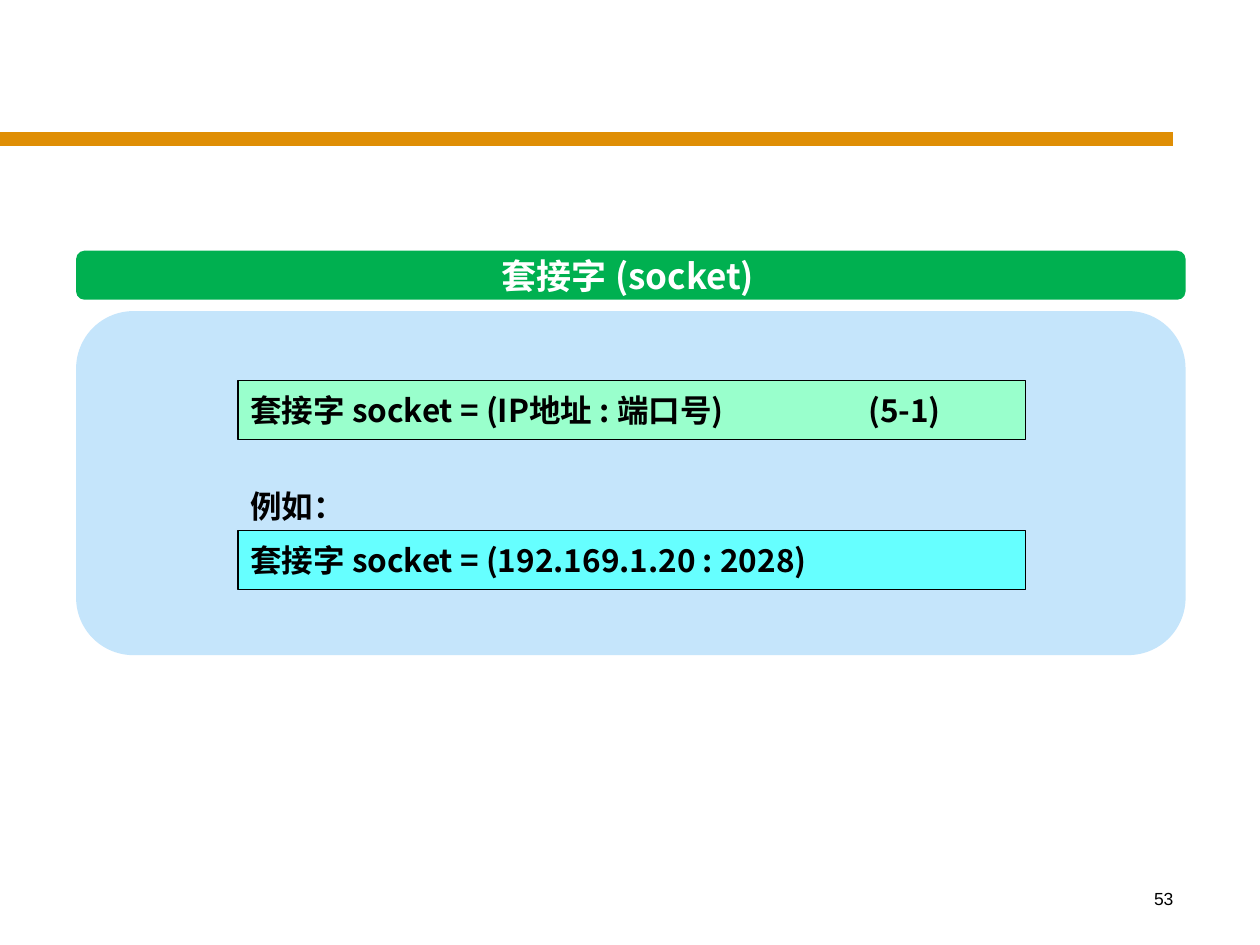
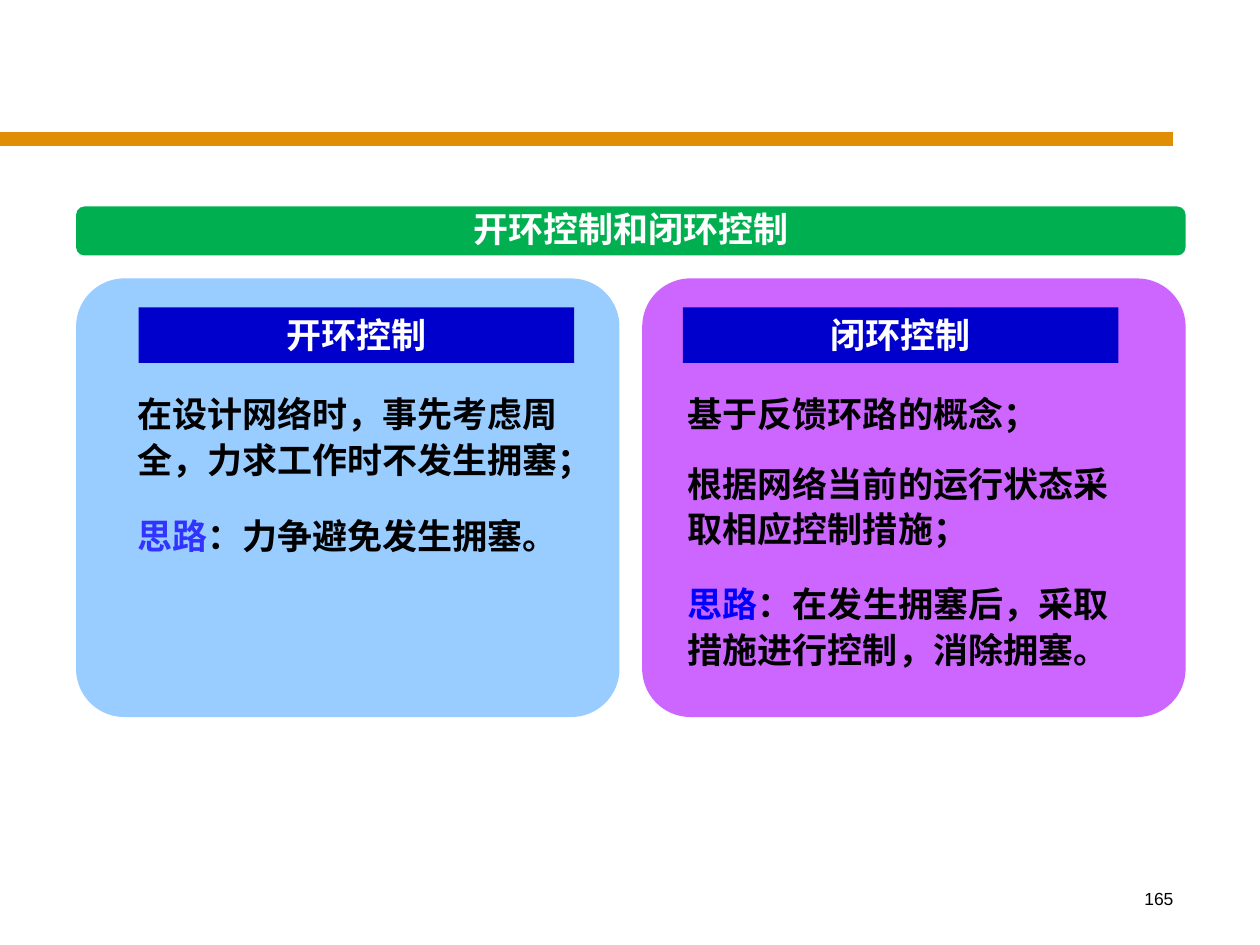
from lxml.etree import SubElement
from pptx import Presentation
from pptx.dml.color import RGBColor
from pptx.enum.shapes import MSO_CONNECTOR, MSO_SHAPE
from pptx.enum.text import MSO_ANCHOR, MSO_AUTO_SIZE, PP_ALIGN
from pptx.oxml.ns import qn
from pptx.util import Pt

CJK, LATIN = "Noto Sans CJK SC", "Arial"
BLACK, WHITE, ORANGE, GREEN, NAVY = "000000", "FFFFFF", "DF8E05", "00B050", "0000CC"
MARGIN, CONTENT_WIDTH = 43.5, 634
BAND_HEIGHT, HEADING_HEIGHT = 28, 31.7
LINE_HEIGHT, INSETS = 26, 7.2

SOCKET = {
    "number": "53",
    "heading": ("套接字 (socket)", 278.6, 141.8, 160.6),
    "band_top": 143.3,
    "panel": (177.8, 196.6, "C5E5FB"),
    "formulas": [
        ("套接字 socket = (IP地址 : 端口号)\t(5-1)", 217.4, "99FFCC"),
        ("套接字 socket = (192.169.1.20 : 2028)", 303.1, "66FFFF"),
    ],
    "example": ("例如：", 272.2),
}
CONTROL = {
    "number": "165",
    "heading": ("开环控制和闭环控制", 263.5, 115.2, 194.4),
    "band_top": 118,
    "columns": [
        {
            "fill": "99CCFF", "label": "开环控制", "label_left": 79.2, "text_left": 71.3,
            "notes": [
                (218.9, 2, [("在设计网络时，事先考虑周全，力求工作时不发生拥塞；", BLACK)]),
                (288.7, 1, [("思路", "3333FF"), ("：力争避免发生拥塞。", BLACK)]),
            ],
        },
        {
            "fill": "CC66FF", "label": "闭环控制", "label_left": 390.2, "text_left": 385.9,
            "notes": [
                (218.9, 1, [("基于反馈环路的概念；", BLACK)]),
                (258.5, 2, [("根据网络当前的运行状态采取相应控制措施；", BLACK)]),
                (327.6, 2, [("思路", "0000FF"),
                            ("：在发生拥塞后，采取措施进行控制，消除拥塞。", BLACK)]),
            ],
        },
    ],
}


def colour(value):
    return RGBColor.from_string(value)


def set_all(target, values):
    for name, value in values.items():
        setattr(target, name, value)


def write(box, spans, size, font=CJK, bold=True, align=PP_ALIGN.LEFT, spacing=None,
          anchor=MSO_ANCHOR.TOP, wrap=True, tab=None):
    frame = box.text_frame
    set_all(frame, {"auto_size": MSO_AUTO_SIZE.NONE, "word_wrap": wrap,
                    "vertical_anchor": anchor})
    para = frame.paragraphs[0]
    if tab:
        tabs = SubElement(para._p.get_or_add_pPr(), qn("a:tabLst"))
        SubElement(tabs, qn("a:tab"), pos=str(Pt(tab)), algn="l")
    set_all(para, {"alignment": align, "line_spacing": spacing})
    for text, tint in spans:
        span = para.add_run()
        span.text = text
        set_all(span.font, {"size": Pt(size), "bold": bold, "name": font})
        span.font.color.rgb = colour(tint)
        SubElement(span.font._element, qn("a:ea"), typeface=font)


def add_block(page, kind, place, fill, line=None, corner=None):
    block = page.shapes.add_shape(kind, *map(Pt, place))
    block.shadow.inherit = False
    block.fill.solid()
    block.fill.fore_color.rgb = colour(fill)
    if line:
        block.line.color.rgb = colour(line)
        block.line.width = Pt(1)
    else:
        block.line.fill.background()
    if corner:
        block.adjustments[0] = corner
    return block


def add_text(page, place, spans, size, **style):
    box = page.shapes.add_textbox(*map(Pt, place))
    write(box, spans, size, **style)


def start_page(deck, content):
    page = deck.slides.add_slide(deck.slide_layouts[5])
    rule = page.shapes.add_connector(MSO_CONNECTOR.STRAIGHT, 0, Pt(79.2), Pt(670.3), Pt(79.2))
    rule.line.color.rgb = colour(ORANGE)
    rule.line.width = Pt(8)
    SubElement(rule._element.spPr, qn("a:effectLst"))
    add_text(page, (527.8, 504, 149.8, 36), [(content["number"], BLACK)], 10,
             font=LATIN, bold=False, align=PP_ALIGN.RIGHT)
    add_block(page, MSO_SHAPE.ROUNDED_RECTANGLE,
              (MARGIN, content["band_top"], CONTENT_WIDTH, BAND_HEIGHT), GREEN, corner=0.17)
    text, left, top, width = content["heading"]
    title = page.shapes.title
    set_all(title, {"left": Pt(left), "top": Pt(top),
                    "width": Pt(width), "height": Pt(HEADING_HEIGHT)})
    set_all(title.text_frame, {"margin_left": 0, "margin_right": 0})
    write(title, [(text, WHITE)], 20, align=PP_ALIGN.CENTER, wrap=False)
    page.shapes._spTree.append(title._element)
    return page


def build_socket(deck):
    page = start_page(deck, SOCKET)
    top, height, fill = SOCKET["panel"]
    add_block(page, MSO_SHAPE.ROUNDED_RECTANGLE, (MARGIN, top, CONTENT_WIDTH, height), fill)
    for text, top, fill in SOCKET["formulas"]:
        formula = add_block(page, MSO_SHAPE.RECTANGLE, (136, top, 450, 33.8), fill, line=BLACK)
        write(formula, [(text, BLACK)], 18, anchor=MSO_ANCHOR.MIDDLE, tab=353)
    text, top = SOCKET["example"]
    add_text(page, (136, top, 438.5, HEADING_HEIGHT), [(text, BLACK)], 18, spacing=Pt(24))


def build_control(deck):
    page = start_page(deck, CONTROL)
    gap = 13
    width = (CONTENT_WIDTH - gap) / 2
    for index, column in enumerate(CONTROL["columns"]):
        left = MARGIN + index * (width + gap)
        add_block(page, MSO_SHAPE.ROUNDED_RECTANGLE, (left, 159.1, width, 250.6),
                  column["fill"], corner=0.11)
        label = add_block(page, MSO_SHAPE.RECTANGLE,
                          (column["label_left"], 175.7, 249, HEADING_HEIGHT), NAVY)
        write(label, [(column["label"], WHITE)], 20, align=PP_ALIGN.CENTER)
        for top, lines, spans in column["notes"]:
            place = (column["text_left"], top, 267.1, lines * LINE_HEIGHT + INSETS)
            add_text(page, place, spans, 20, spacing=Pt(LINE_HEIGHT))


def main():
    deck = Presentation()
    set_all(deck, {"slide_width": Pt(720), "slide_height": Pt(540)})
    build_socket(deck)
    build_control(deck)
    deck.save("out.pptx")


if __name__ == "__main__":
    main()
